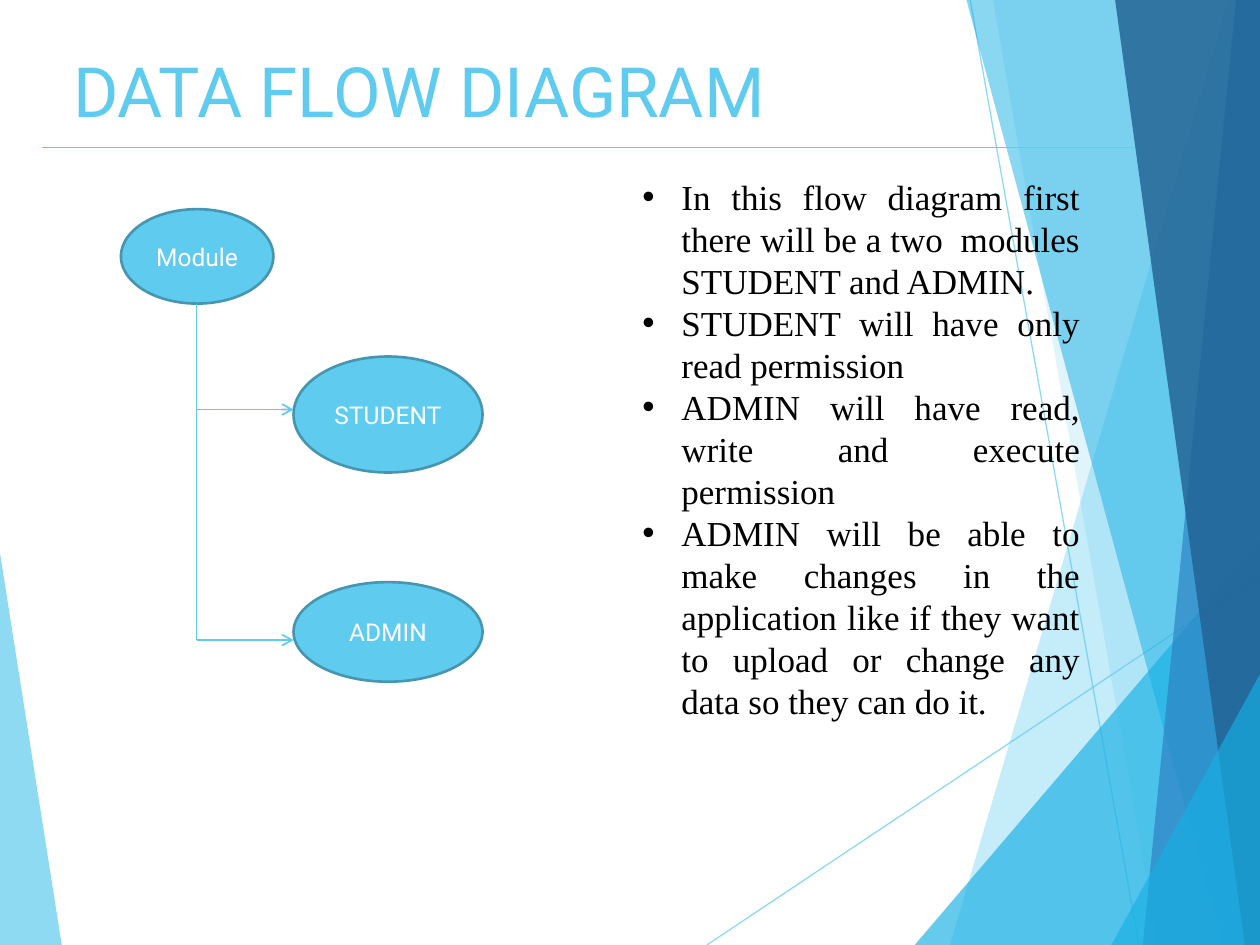
"""Build the data flow diagram slide with its faceted background."""
from dataclasses import dataclass

from lxml.etree import SubElement
from pptx import Presentation
from pptx.dml.color import RGBColor
from pptx.enum.shapes import MSO_CONNECTOR as Connector, MSO_SHAPE as Shape
from pptx.enum.text import MSO_ANCHOR as Anchor, MSO_AUTO_SIZE as AutoSize, PP_ALIGN as Align
from pptx.oxml.ns import qn
from pptx.util import Inches, Pt


@dataclass(frozen=True)
class Theme:
    """Colours, fonts and type sizes of the slide."""
    sky: str = "5FCBEF"
    cyan: str = "17B0E4"
    blue: str = "2E83C3"
    navy: str = "226292"
    outline: str = "4696B1"
    white: str = "FFFFFF"
    black: str = "000000"
    heading_font: str = "Roboto"
    body_font: str = "Times New Roman"
    title_size: float = 39.6
    node_size: float = 14
    body_size: float = 20
    body_leading: float = 24


THEME = Theme()
WIDTH, HEIGHT = 10, 7.5
TITLE = "DATA FLOW DIAGRAM"
POINTS = [
    "In this flow diagram first there will be a two  modules STUDENT and ADMIN.",
    "STUDENT will have only read permission",
    "ADMIN will have read, write and execute permission",
    "ADMIN will be able to make changes in the application like if they want "
    "to upload or change any data so they can do it.",
]
NODES = [
    ("Module", (0.96, 1.66, 1.21, 0.75)),
    ("STUDENT", (2.33, 2.83, 1.5, 0.92)),
    ("ADMIN", (2.33, 4.62, 1.5, 0.79)),
]
TRUNK_X, TRUNK_TOP, BRANCH_END = 1.56, 2.41, 2.33
BRANCH_LEVELS = [3.25, 5.08]
RULE = ((0.33, 1.17), (9, 1.17))
RAYS = [((5.61, HEIGHT), (WIDTH, 4.57)), ((7.7, 0), (9.04, HEIGHT))]
LEFT_FACET = ([(0, 4.39), (0.49, HEIGHT), (0, HEIGHT)], THEME.sky, 70)
RIGHT_FACETS = [
    (9.75, 0, 7.54, THEME.sky, 36),
    (7.88, 0, 9.19, THEME.sky, 20),
    (WIDTH, 4.29, 7.26, THEME.cyan, 66),
    (7.67, 0, 9.7, THEME.cyan, 50),
    (9.81, 0, 9.07, THEME.blue, 70),
    (8.85, 0, 9.88, THEME.navy, 82),
    (WIDTH, 5.35, 8.82, THEME.cyan, 66),
]


def rgb(value):
    """Turn a hex string into a colour."""
    return RGBColor.from_string(value)


def set_opacity(element, percent):
    """Make the solid colour inside an element partly transparent."""
    colour = next(element.iter(qn("a:srgbClr")))
    SubElement(colour, qn("a:alpha"), val=str(percent * 1000))


def add_facet(slide, corners, colour, opacity):
    """Add one translucent polygon."""
    points = [(Inches(x), Inches(y)) for x, y in corners]
    builder = slide.shapes.build_freeform(*points[0])
    builder.add_line_segments(points[1:], close=True)
    facet = builder.convert_to_shape()
    facet.shadow.inherit = False
    facet.fill.solid()
    facet.fill.fore_color.rgb = rgb(colour)
    facet.line.fill.background()
    set_opacity(facet.fill._xPr.find(qn("a:solidFill")), opacity)


def add_line(slide, start, end, weight=1, opacity=None, arrow=False):
    """Add a straight connector."""
    line = slide.shapes.add_connector(
        Connector.STRAIGHT, *(Inches(value) for value in (*start, *end)))
    line.line.color.rgb = rgb(THEME.sky)
    line.line.width = Pt(weight)
    outline = line.line._get_or_add_ln()
    if opacity:
        set_opacity(outline, opacity)
    if arrow:
        SubElement(outline, qn("a:tailEnd"), type="arrow")
    SubElement(line._element.spPr, qn("a:effectLst"))


def add_run(paragraph, text, font, size, colour):
    """Add one formatted run."""
    run = paragraph.add_run()
    run.text = text
    run.font.name = font
    run.font.size = Pt(size)
    run.font.color.rgb = rgb(colour)


def set_frame(frame, side, top, anchor):
    """Set wrapping, insets and anchoring of a text frame."""
    frame.word_wrap = True
    frame.auto_size = AutoSize.NONE
    frame.margin_left = frame.margin_right = Inches(side)
    frame.margin_top = frame.margin_bottom = Inches(top)
    frame.vertical_anchor = anchor


def add_title(slide):
    """Place and fill the title placeholder."""
    title = slide.shapes.title
    title.left, title.top, title.width, title.height = map(Inches, (0.5, 0.3, 6.92, 0.53))
    set_frame(title.text_frame, 0.08, 0.08, Anchor.TOP)
    paragraph = title.text_frame.paragraphs[0]
    paragraph.alignment = Align.LEFT
    add_run(paragraph, TITLE, THEME.heading_font, THEME.title_size, THEME.sky)


def add_node(slide, label, box):
    """Add one labelled ellipse."""
    node = slide.shapes.add_shape(Shape.OVAL, *map(Inches, box))
    node.shadow.inherit = False
    node.fill.solid()
    node.fill.fore_color.rgb = rgb(THEME.sky)
    node.line.color.rgb = rgb(THEME.outline)
    node.line.width = Pt(1.5)
    set_frame(node.text_frame, 0.08, 0.04, Anchor.MIDDLE)
    paragraph = node.text_frame.paragraphs[0]
    paragraph.alignment = Align.CENTER
    add_run(paragraph, label, THEME.heading_font, THEME.node_size, THEME.white)


def add_points(slide):
    """Add the justified bullet list."""
    box = slide.shapes.add_textbox(*map(Inches, (5, 1.33, 3.67, 4.78)))
    frame = box.text_frame
    set_frame(frame, 0.1, 0.06, Anchor.TOP)
    for index, text in enumerate(POINTS):
        paragraph = frame.add_paragraph() if index else frame.paragraphs[0]
        paragraph.alignment = Align.JUSTIFY
        paragraph.line_spacing = Pt(THEME.body_leading)
        properties = paragraph._p.get_or_add_pPr()
        properties.set("marL", str(Inches(0.31)))
        properties.set("indent", str(-Inches(0.31)))
        SubElement(properties, qn("a:buFont"), typeface="Arial")
        SubElement(properties, qn("a:buChar"), char="•")
        add_run(paragraph, text, THEME.body_font, THEME.body_size, THEME.black)


def main():
    """Assemble and save the slide."""
    presentation = Presentation()
    presentation.slide_width, presentation.slide_height = Inches(WIDTH), Inches(HEIGHT)
    slide = presentation.slides.add_slide(presentation.slide_layouts[5])
    slide.background.fill.solid()
    slide.background.fill.fore_color.rgb = rgb(THEME.white)

    add_facet(slide, *LEFT_FACET)
    for start, end in RAYS:
        add_line(slide, start, end, weight=0.75, opacity=70)
    for x, y, foot, colour, opacity in RIGHT_FACETS:
        corners = [(x, y), (foot, HEIGHT), (WIDTH, HEIGHT)]
        if x < WIDTH:
            corners.append((WIDTH, y))
        add_facet(slide, corners, colour, opacity)

    add_title(slide)
    for level in BRANCH_LEVELS:
        add_line(slide, (TRUNK_X, level), (BRANCH_END, level), arrow=True)
    for label, box in NODES:
        add_node(slide, label, box)
    add_line(slide, (TRUNK_X, TRUNK_TOP), (TRUNK_X, BRANCH_LEVELS[-1]))
    add_points(slide)
    add_line(slide, *RULE)
    presentation.save("out.pptx")


if __name__ == "__main__":
    main()
